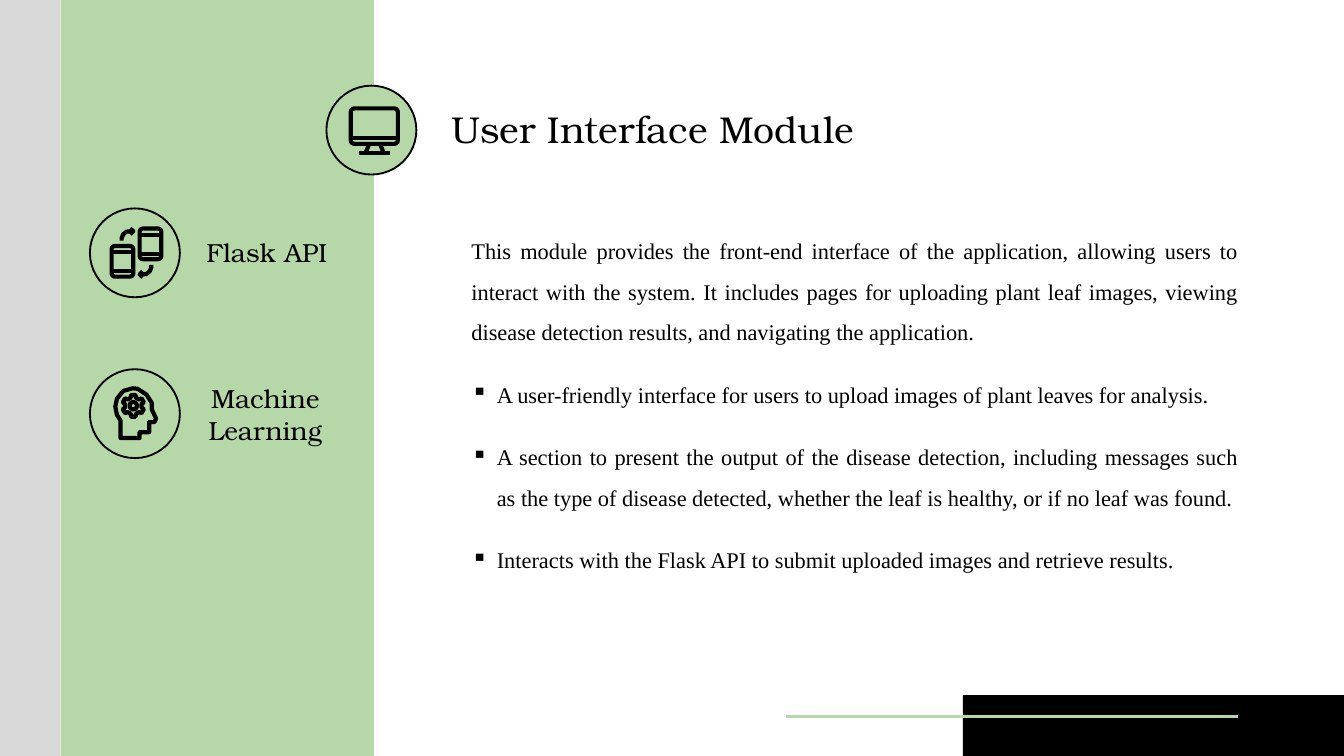
import math

from lxml import etree
from pptx import Presentation
from pptx.dml import color as dml
from pptx.enum import shapes, text
from pptx.oxml import ns
from pptx.util import Cm, Pt

COLORS = {"green": "B6D7A8", "grey": "D9D9D9", "black": "000000"}
HEADING_FONT, BODY_FONT = "TeX Gyre Bonum", "Times New Roman"
SLIDE_W, SLIDE_H = 25.4, 14.29
DISC_W, DISC_H = 1.7, 1.68
ICON_STROKE = 2.25

INTRO = (
    "This module provides the front-end interface of the application, allowing users to "
    "interact with the system. It includes pages for uploading plant leaf images, viewing "
    "disease detection results, and navigating the application."
)
FEATURES = [
    "A user-friendly interface for users to upload images of plant leaves for analysis.",
    "A section to present the output of the disease detection, including messages such as "
    "the type of disease detected, whether the leaf is healthy, or if no leaf was found.",
    "Interacts with the Flask API to submit uploaded images and retrieve results.",
]
HEAD_PROFILE = [
    (0.58, 1.3), (0.94, 1.3), (0.94, 1.19), (1.12, 1.19), (1.12, 1), (1.22, 1),
    (1.25, 0.93), (1.17, 0.76), (1.17, 0.64), (1.07, 0.48), (0.9, 0.37), (0.81, 0.36),
    (0.63, 0.41), (0.51, 0.56), (0.48, 0.71), (0.51, 0.86), (0.58, 0.97),
]
ARROW_SHAFT = [(0.6, 0.61), (0.6, 0.56), (0.63, 0.49), (0.69, 0.44), (0.8, 0.43)]
ARROW_TIP = [(0.76, 0.38), (0.82, 0.43), (0.76, 0.49)]


def rgb(name):
    return dml.RGBColor.from_string(COLORS[name])


def style(shape, fill=None, line=None, weight=1):
    shape.shadow.inherit = False
    if fill:
        shape.fill.solid()
        shape.fill.fore_color.rgb = rgb(fill)
    else:
        shape.fill.background()
    if line:
        shape.line.color.rgb = rgb(line)
        shape.line.width = Pt(weight)
    else:
        shape.line.fill.background()


def add_preset(slide, kind, box, **look):
    shape = slide.shapes.add_shape(kind, *map(Cm, box))
    style(shape, **look)
    return shape


def add_line(slide, start, end, color="black", weight=ICON_STROKE):
    line = slide.shapes.add_connector(
        shapes.MSO_CONNECTOR.STRAIGHT, *map(Cm, (*start, *end)))
    line.line.color.rgb = rgb(color)
    line.line.width = Pt(weight)
    etree.SubElement(line._element.spPr, ns.qn("a:effectLst"))


def add_outline(slide, left, top, points, close=False):
    corners = [(Cm(left + x), Cm(top + y)) for x, y in points]
    builder = slide.shapes.build_freeform(*corners[0])
    builder.add_line_segments(corners[1:], close=close)
    style(builder.convert_to_shape(), line="black", weight=ICON_STROKE)


def add_rounded(slide, box, rounding):
    frame = add_preset(slide, shapes.MSO_SHAPE.ROUNDED_RECTANGLE, box,
                       line="black", weight=ICON_STROKE)
    frame.adjustments[0] = rounding


def add_text_frame(slide, box):
    frame = slide.shapes.add_textbox(*map(Cm, box)).text_frame
    frame.word_wrap = True
    frame.auto_size = text.MSO_AUTO_SIZE.SHAPE_TO_FIT_TEXT
    return frame


def set_font(paragraph, name, size):
    paragraph.font.name = name
    paragraph.font.size = Pt(size)
    paragraph.font.color.rgb = rgb("black")


def draw_monitor(slide, left, top):
    add_rounded(slide, (left + 0.46, top + 0.43, 0.89, 0.67), 0.1)
    add_line(slide, (left + 0.46, top + 0.99), (left + 1.35, top + 0.99))
    add_line(slide, (left + 0.8, top + 1.12), (left + 0.74, top + 1.27))
    add_line(slide, (left + 1.02, top + 1.12), (left + 1.08, top + 1.27))
    add_line(slide, (left + 0.62, top + 1.27), (left + 1.2, top + 1.27))


def draw_phones(slide, left, top):
    """Two phones exchanging data along a pair of half-turn arrows."""
    for x, y in ((left + 0.41, top + 0.71), (left + 0.94, top + 0.38)):
        add_rounded(slide, (x, y, 0.41, 0.58), 0.15)
        for offset in (0.12, 0.48):
            add_line(slide, (x, y + offset), (x + 0.41, y + offset))
    for stroke in (ARROW_SHAFT, ARROW_TIP):
        add_outline(slide, left, top, stroke)
        add_outline(slide, left, top, [(1.76 - x, 1.68 - y) for x, y in stroke])


def draw_head(slide, left, top):
    """Head in profile with a six-toothed gear inside."""
    add_outline(slide, left, top, HEAD_PROFILE, close=True)
    center_x, center_y, hub = 0.82, 0.69, 0.07
    gear = []
    for tooth in range(6):
        for offset, radius in ((-18, 0.16), (-12, 0.21), (12, 0.21), (18, 0.16)):
            angle = math.radians(60 * tooth + 30 + offset)
            gear.append((center_x + radius * math.cos(angle),
                         center_y + radius * math.sin(angle)))
    add_outline(slide, left, top, gear, close=True)
    add_preset(slide, shapes.MSO_SHAPE.OVAL,
               (left + center_x - hub, top + center_y - hub, 2 * hub, 2 * hub),
               line="black", weight=ICON_STROKE)


def add_module(slide, left, top, draw_icon, label, label_box, size):
    """Icon disc at left, top; label_box is offset from that corner."""
    add_preset(slide, shapes.MSO_SHAPE.OVAL, (left, top, DISC_W, DISC_H),
               fill="green", line="black")
    draw_icon(slide, left, top)
    x, y, width, height = label_box
    heading = add_text_frame(slide, (left + x, top + y, width, height)).paragraphs[0]
    heading.text = label
    heading.alignment = text.PP_ALIGN.CENTER
    set_font(heading, HEADING_FONT, size)


def add_backdrop(slide, width, height):
    rectangle = shapes.MSO_SHAPE.RECTANGLE
    add_preset(slide, rectangle, (0, 0, 1.15, height), fill="grey")
    add_preset(slide, rectangle, (width - 7.2, height - 1.15, 7.2, 1.15), fill="black")
    add_line(slide, (width - 10.55, height - 0.74), (width - 2, height - 0.74), "green", 1.5)
    add_preset(slide, rectangle, (1.19, 0, 5.84, height),
               fill="green", line="green", weight=2)


def add_description(slide, box):
    frame = add_text_frame(slide, box)
    for index, sentence in enumerate([INTRO, *FEATURES]):
        paragraph = frame.add_paragraph() if index else frame.paragraphs[0]
        paragraph.text = sentence
        paragraph.alignment = text.PP_ALIGN.JUSTIFY
        paragraph.line_spacing = 1.5
        properties = paragraph._p.get_or_add_pPr()
        properties.set("marL", str(Cm(1.75 if index else 1.27)))
        properties.set("indent", str(Cm(-0.48 if index else 0)))
        if index:
            paragraph.level = 1
            paragraph.space_before = Pt(12)
            bullet_color = etree.SubElement(properties, ns.qn("a:buClr"))
            etree.SubElement(bullet_color, ns.qn("a:srgbClr"), val=COLORS["black"])
            etree.SubElement(properties, ns.qn("a:buChar"), char="▪")
        set_font(paragraph, BODY_FONT, 12)
    paragraph.space_after = Pt(10)


def main():
    deck = Presentation()
    deck.slide_width, deck.slide_height = Cm(SLIDE_W), Cm(SLIDE_H)
    slide = deck.slides.add_slide(deck.slide_layouts[6])
    add_backdrop(slide, SLIDE_W, SLIDE_H)
    add_module(slide, 6.17, 1.62, draw_monitor, "User Interface Module",
               (1.2, 0.26, 9.93, 1.12), 20)
    add_module(slide, 1.7, 3.94, draw_phones, "Flask API", (1.68, 0.4, 3.33, 0.86), 14)
    add_module(slide, 1.7, 6.98, draw_head, "Machine Learning", (1.65, 0.13, 3.33, 1.45), 14)
    add_description(slide, (7.39, 4.11, 16.28, 7.87))
    deck.save("out.pptx")


if __name__ == "__main__":
    main()
